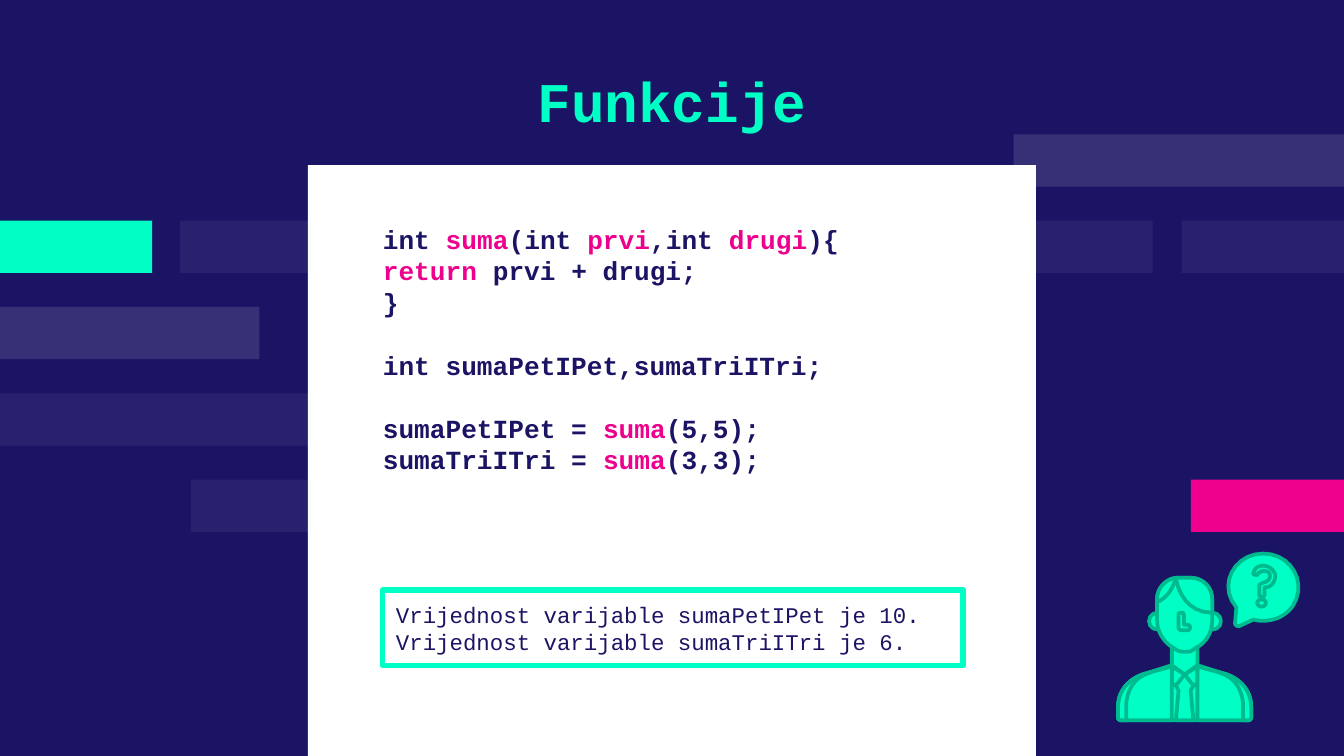
from lxml import etree
from pptx import Presentation
from pptx.dml.color import RGBColor
from pptx.enum import shapes, text
from pptx.oxml.ns import qn
from pptx.util import Pt

COLORS = {"navy": "1B1464", "mint": "00FFC5", "pink": "EC008C",
          "white": "FFFFFF", "outline": "00BA8F"}
FONT = "Courier New"
LINE_HEIGHT = 1.205  # multiple of the font size
INSET = 7.2

# Background bars: row, left, width, colour, opacity in percent
ROW_TOP, ROW_STEP, BAR_HEIGHT = 72, 46.25, 28
BARS = [
    (2, 0, 139, "white", 12),
    (1, 96.5, 87, "white", 6),
    (3, 0, 177, "white", 6),
    (1, 0, 81.5, "mint", 100),
    (4, 102.3, 87, "white", 6),
    (4, 638, 82, "pink", 100),
    (1, 633, 87, "white", 6),
    (1, 431, 186.5, "white", 6),
    (0, 543, 177, "white", 12),
]

# Code blocks; text between asterisks is highlighted
CODE = [
    ["int *suma*(int *prvi*,int *drugi*){", "*return* prvi + drugi;", "}"],
    ["int sumaPetIPet,sumaTriITri;"],
    ["sumaPetIPet = *suma*(5,5);", "sumaTriITri = *suma*(3,3);"],
]
OUTPUT = ["Vrijednost varijable sumaPetIPet je 10.",
          "Vrijednost varijable sumaTriITri je 6."]

# Icon grid: one unit is 0.72 pt, and the figure is symmetric about AXIS
ICON_LEFT, ICON_TOP, ICON_UNIT = 599, 296.6, 0.72
AXIS = 49.5
BUBBLE = ("M 108 0 C 86 0 74 24 88 40 L 87 52 C 87 53 88 54 90 54 L 101 49 "
          "C 103 50 106 50 108 50 C 117 50 125 46 130 39 C 141 22 129 0 108 0")
NECK = "M 40 62 L 40 88 L 49.5 96 L 59 88 L 59 62"
BODY = ("M 40 83 L 18 90 C 7 94 0 103 0 114 L 0 122 C 0 123 1 124 2 124 L 97 124 "
        "C 98 124 99 123 99 122 L 99 114 C 99 103 92 94 81 90 L 59 83 L 49.5 90")
FACE = ("M 45 18 L 43 18 C 35 19 29 26 29 34 L 29 50 C 29 58 34 66 41 70 L 44 72 "
        "C 46 73 48 73 50 73 C 52 73 54 73 55 72 L 58 70 C 66 66 70 58 70 50 "
        "L 70 34 C 70 25 63 18 54 18")
HAIR_LEFT = "M 43 18 C 35 19 29 26 29 34 L 29 36 C 29 36 39 33 43 18"
HAIR_RIGHT = "M 45 18 L 43 18 C 43 18 46 44 70 44 L 70 34 C 70 25 63 18 54 18"
NOSE = ("M 47 44 C 46 44 45 44 45 46 L 45 55 C 45 56 46 57 47 57 L 52 57 "
        "C 54 57 54 53 52 53 L 49 53 L 49 46 C 49 44 48 44 47 44")
TIE = "M 43 90 L 43 98 L 45 102 L 43 124 L 56 124 L 54 102 L 56 98 L 56 90"
COLLAR = "M 40 84 L 40 95 C 40 97 41 98 42 98 C 43 98 43 97 44 97 L 49.5 90"
COAT = ("M 40 84 L 18 90 C 7 94 0 103 0 114 L 0 122 C 0 123 1 124 2 124 "
        "L 40 124")
SLEEVE = ("M 25 88 L 18 90 C 7 94 0 103 0 114 L 0 122 C 0 123 1 124 2 124 "
          "L 6 124 L 6 114 C 6 103 11 94 20 90")
QUESTION = ("M 108 9 C 105 9 102 10 101 14 C 100 15 101 16 103 16 C 103 16 104 16 104 15 "
            "C 105 14 107 13 108 13 C 109 13 111 13 112 14 C 114 16 113 20 110 21 "
            "C 107 22 105 23 105 24 L 105 30 C 105 32 106 32 107 32 C 108 32 109 32 109 30 "
            "L 109 25 C 110 25 110 25 111 25 C 115 24 117 20 117 16 C 116 12 112 9 108 9")


def rgb(name):
    return RGBColor.from_string(COLORS[name])


def style(sp, fill=None, line=None, line_width=0, opacity=100):
    sp.shadow.inherit = False
    if fill:
        sp.fill.solid()
        sp.fill.fore_color.rgb = rgb(fill)
        if opacity < 100:
            color = sp._element.spPr.find(qn("a:solidFill"))[0]
            etree.SubElement(color, qn("a:alpha"), val=str(opacity * 1000))
    else:
        sp.fill.background()
    if line:
        sp.line.color.rgb = rgb(line)
        sp.line.width = Pt(line_width)
        etree.SubElement(sp._element.spPr.find(qn("a:ln")), qn("a:round"))
    else:
        sp.line.fill.background()


def add_rect(s, left, top, width, height, **look):
    sp = s.shapes.add_shape(shapes.MSO_SHAPE.RECTANGLE,
                            Pt(left), Pt(top), Pt(width), Pt(height))
    style(sp, **look)
    return sp


def setup_frame(tf, anchor):
    tf.word_wrap = True
    tf.auto_size = text.MSO_AUTO_SIZE.NONE
    tf.vertical_anchor = anchor
    tf.margin_left = tf.margin_right = tf.margin_top = tf.margin_bottom = Pt(INSET)


def format_paragraph(p, size, color, bold=False, align=text.PP_ALIGN.LEFT):
    p.alignment = align
    p.line_spacing = Pt(size * LINE_HEIGHT)
    p.font.name, p.font.size, p.font.bold = FONT, Pt(size), bold
    p.font.color.rgb = rgb(color)


def write_lines(tf, blocks, size, bold=False):
    lines = [(line, line is block[-1]) for block in blocks for line in block]
    for i, (line, ends_block) in enumerate(lines):
        p = tf.paragraphs[0] if i == 0 else tf.add_paragraph()
        format_paragraph(p, size, "navy", bold)
        if ends_block and i < len(lines) - 1:
            p.space_after = Pt(size * LINE_HEIGHT)
        for j, part in enumerate(line.split("*")):
            if part:
                r = p.add_run()
                r.text = part
                if j % 2:
                    r.font.color.rgb = rgb("pink")


def add_title(s):
    sp = s.shapes.title
    sp.left, sp.top, sp.width, sp.height = Pt(100.8), Pt(27.4), Pt(518.4), Pt(52.6)
    sp.text_frame.text = "Funkcije"
    setup_frame(sp.text_frame, text.MSO_ANCHOR.MIDDLE)
    format_paragraph(sp.text_frame.paragraphs[0], 30, "mint", True, text.PP_ALIGN.CENTER)


def outline_points(path, steps=10):
    """Turn move, line and cubic curve commands into a list of points."""
    points, tokens = [], iter(path.split())
    for command in tokens:
        count = 3 if command == "C" else 1
        ends = [(float(next(tokens)), float(next(tokens))) for _ in range(count)]
        if command != "C":
            points += ends
            continue
        controls = [points[-1]] + ends
        for t in (i / steps for i in range(1, steps + 1)):
            weights = ((1 - t) ** 3, 3 * t * (1 - t) ** 2, 3 * t * t * (1 - t), t ** 3)
            points.append(tuple(sum(w * c[k] for w, c in zip(weights, controls))
                                for k in (0, 1)))
    return points


def add_outline(icon, path, mirror=False):
    points = [(Pt(ICON_LEFT + ICON_UNIT * (2 * AXIS - x if mirror else x)),
               Pt(ICON_TOP + ICON_UNIT * y)) for x, y in outline_points(path)]
    builder = icon.shapes.build_freeform(*points[0])
    builder.add_line_segments(points[1:], close=True)
    style(builder.convert_to_shape(), fill="mint", line="outline", line_width=2)


def add_oval(icon, x, y, width, height):
    sp = icon.shapes.add_shape(
        shapes.MSO_SHAPE.OVAL, Pt(ICON_LEFT + ICON_UNIT * x), Pt(ICON_TOP + ICON_UNIT * y),
        Pt(ICON_UNIT * width), Pt(ICON_UNIT * height))
    style(sp, fill="mint", line="outline", line_width=2)


def add_person_icon(s):
    icon = s.shapes.add_group_shape()
    for ear_x in (23, 64):
        add_oval(icon, ear_x, 44, 12.5, 12.5)
    for path in (BUBBLE, NECK, BODY, FACE, HAIR_LEFT, HAIR_RIGHT, NOSE, TIE):
        add_outline(icon, path)
    for path in (COLLAR, COAT, SLEEVE):
        for mirror in (False, True):
            add_outline(icon, path, mirror)
    add_outline(icon, QUESTION)
    add_oval(icon, 103.5, 34, 6.5, 5.5)


def main():
    prs = Presentation()
    prs.slide_width, prs.slide_height = Pt(720), Pt(405)
    s = prs.slides.add_slide(prs.slide_layouts[5])
    s.background.fill.solid()
    s.background.fill.fore_color.rgb = rgb("navy")

    # Background bars and white panel
    for row, left, width, color, opacity in BARS:
        add_rect(s, left, ROW_TOP + row * ROW_STEP, width, BAR_HEIGHT,
                 fill=color, opacity=opacity)
    add_rect(s, 165, 88.5, 390, 316.5, fill="white")

    # Title, code and program output
    add_title(s)
    code = s.shapes.add_textbox(Pt(198), Pt(112.3), Pt(324.7), Pt(154))
    setup_frame(code.text_frame, text.MSO_ANCHOR.TOP)
    write_lines(code.text_frame, CODE, 14, bold=True)
    output = add_rect(s, 205, 316.2, 311, 40.4, line="mint", line_width=3)
    setup_frame(output.text_frame, text.MSO_ANCHOR.MIDDLE)
    write_lines(output.text_frame, [OUTPUT], 12)

    # Person with a question
    add_person_icon(s)
    prs.save("out.pptx")


if __name__ == "__main__":
    main()
